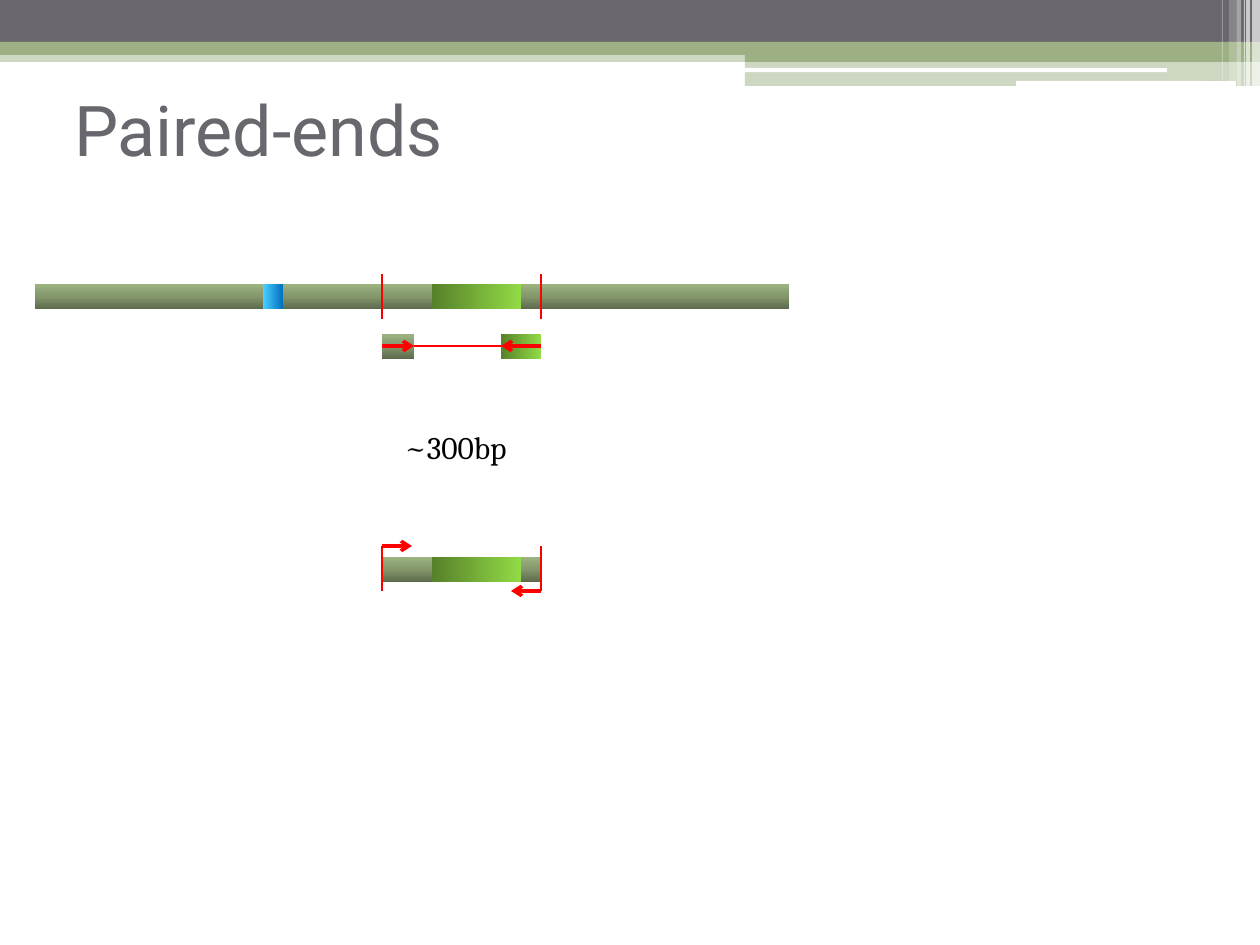
import pptx
import pptx.dml.color
import pptx.enum.shapes
import pptx.enum.text
import pptx.oxml
import pptx.oxml.ns
import pptx.util
from lxml import etree

RGBColor = pptx.dml.color.RGBColor
SHAPES = pptx.enum.shapes.MSO_SHAPE
ANCHOR = pptx.enum.text.MSO_ANCHOR
qn = pptx.oxml.ns.qn

EMU_PER_PX = 914400 / 126
GREY = RGBColor(0x69, 0x67, 0x6D)
SAGE = RGBColor(0x9C, 0xB0, 0x84)
WHITE = RGBColor(0xFF, 0xFF, 0xFF)
RED = RGBColor(0xFF, 0x00, 0x00)
BLACK = RGBColor(0x00, 0x00, 0x00)

# Gradients: clockwise angle, then (position in percent, colour)
DNA = (270, [(0, RGBColor(0x5D, 0x6A, 0x4C)), (50, RGBColor(0x84, 0x97, 0x6C)),
             (100, RGBColor(0x9C, 0xB3, 0x81))])
GENE = (0, [(0, RGBColor(0x57, 0x81, 0x2A)), (100, RGBColor(0x92, 0xDA, 0x46))])
MARKER = (180, [(0, RGBColor(0x00, 0x70, 0xC0)), (100, RGBColor(0x4B, 0xD0, 0xFF))])


def px(*lengths):
    return [pptx.util.Emu(round(length * EMU_PER_PX)) for length in lengths]


def add_block(box, color=None, opacity=100, gradient=None, kind=SHAPES.RECTANGLE):
    shape = slide.shapes.add_shape(kind, *px(*box))
    shape.shadow.inherit = False
    shape.line.fill.background()
    if gradient:
        angle, stops = gradient
        shape.fill.gradient()
        fill = shape._element.spPr.find(qn("a:gradFill"))
        stop_list = fill.find(qn("a:gsLst"))
        for stop in list(stop_list):
            stop_list.remove(stop)
        for position, stop_color in stops:
            stop = etree.SubElement(stop_list, qn("a:gs"), pos=str(position * 1000))
            etree.SubElement(stop, qn("a:srgbClr"), val=str(stop_color))
        fill.find(qn("a:lin")).set("ang", str(angle * 60000))
        return
    shape.fill.solid()
    shape.fill.fore_color.rgb = color
    if opacity < 100:
        color_element = shape._element.spPr.find(qn("a:solidFill"))[0]
        etree.SubElement(color_element, qn("a:alpha"), val=str(opacity * 1000))


presentation = pptx.Presentation()
presentation.slide_width, presentation.slide_height = px(1260, 945)
slide = presentation.slides.add_slide(presentation.slide_layouts[6])

# Header bands
for box, color, opacity in [
    ((0, 50, 1260, 12), SAGE, 50),
    ((0, 0, 1260, 42), GREY, 100),
    ((0, 42, 1260, 13), SAGE, 100),
    ((745, 49, 515, 13), SAGE, 100),
    ((745, 61, 515, 25), SAGE, 50),
]:
    add_block(box, color, opacity)
for box in [(745, 68, 422, 4), (1016, 81, 220, 5)]:
    add_block(box, WHITE, kind=SHAPES.ROUNDED_RECTANGLE)

# Translucent stripes at the right edge
for left, width, height, opacity in [
    (1252, 8, 86, 65), (1246, 4, 86, 65), (1244, 1, 86, 60),
    (1237, 4, 86, 40), (1229, 8, 81, 20), (1222, 1, 81, 30),
]:
    add_block((left, 0, width, height), WHITE, opacity)

# Genome, fragment and the two reads
BAR_HEIGHT = 25
GENOME_TOP, READ_TOP, FRAGMENT_TOP = 284, 334, 557
START, END = 382, 541
READ_START_END, READ_END_START = 414, 501
for left, top, right, gradient in [
    (35, GENOME_TOP, 789, DNA),
    (432, GENOME_TOP, 521, GENE),
    (263, GENOME_TOP, 283, MARKER),
    (START, FRAGMENT_TOP, END, DNA),
    (432, FRAGMENT_TOP, 521, GENE),
    (START, READ_TOP, READ_START_END, DNA),
    (READ_END_START, READ_TOP, END, GENE),
]:
    add_block((left, top, right - left, BAR_HEIGHT), gradient=gradient)

# Thin lines: gap between reads and fragment limits; thick lines: read arrows
READ_MIDDLE = 346
lines = [(READ_START_END, READ_MIDDLE, READ_END_START, READ_MIDDLE, False)]
for bottom in (319, 591):
    for x in (END, START):
        lines.append((x, bottom, x, bottom - 45, False))
lines += [
    (START, READ_MIDDLE, READ_START_END, READ_MIDDLE, True),
    (END, READ_MIDDLE, READ_END_START, READ_MIDDLE, True),
    (START, 546, 412, 546, True),
    (END, 591, 511, 591, True),
]
for *ends, is_arrow in lines:
    connector = slide.shapes.add_connector(
        pptx.enum.shapes.MSO_CONNECTOR.STRAIGHT, *px(*ends))
    connector.line.color.rgb = RED
    connector.line.width = pptx.util.Pt(2 if is_arrow else 0.75)
    if is_arrow:
        etree.SubElement(connector.line._get_or_add_ln(), qn("a:tailEnd"), type="arrow")
    etree.SubElement(connector._element.spPr, qn("a:effectLst"))

# Title and fragment length
for text, box, frame_format, font_format in [
    ("Paired-ends", (74, 86, 1166, 118),
     {"word_wrap": True, "vertical_anchor": ANCHOR.TOP, "margin_left": 0,
      "margin_top": 0, "margin_right": 0, "margin_bottom": 0},
     {"name": "Roboto", "size": pptx.util.Pt(40)}),
    ("~300bp", (392, 422, 139, 50),
     {"word_wrap": False, "auto_size": pptx.enum.text.MSO_AUTO_SIZE.SHAPE_TO_FIT_TEXT},
     {"name": "Cambria", "size": pptx.util.Pt(18)}),
]:
    frame = slide.shapes.add_textbox(*px(*box)).text_frame
    for name, value in frame_format.items():
        setattr(frame, name, value)
    run = frame.paragraphs[0].add_run()
    run.text = text
    for name, value in font_format.items():
        setattr(run.font, name, value)
    run.font.color.rgb = GREY if text == "Paired-ends" else BLACK

presentation.save("out.pptx")
